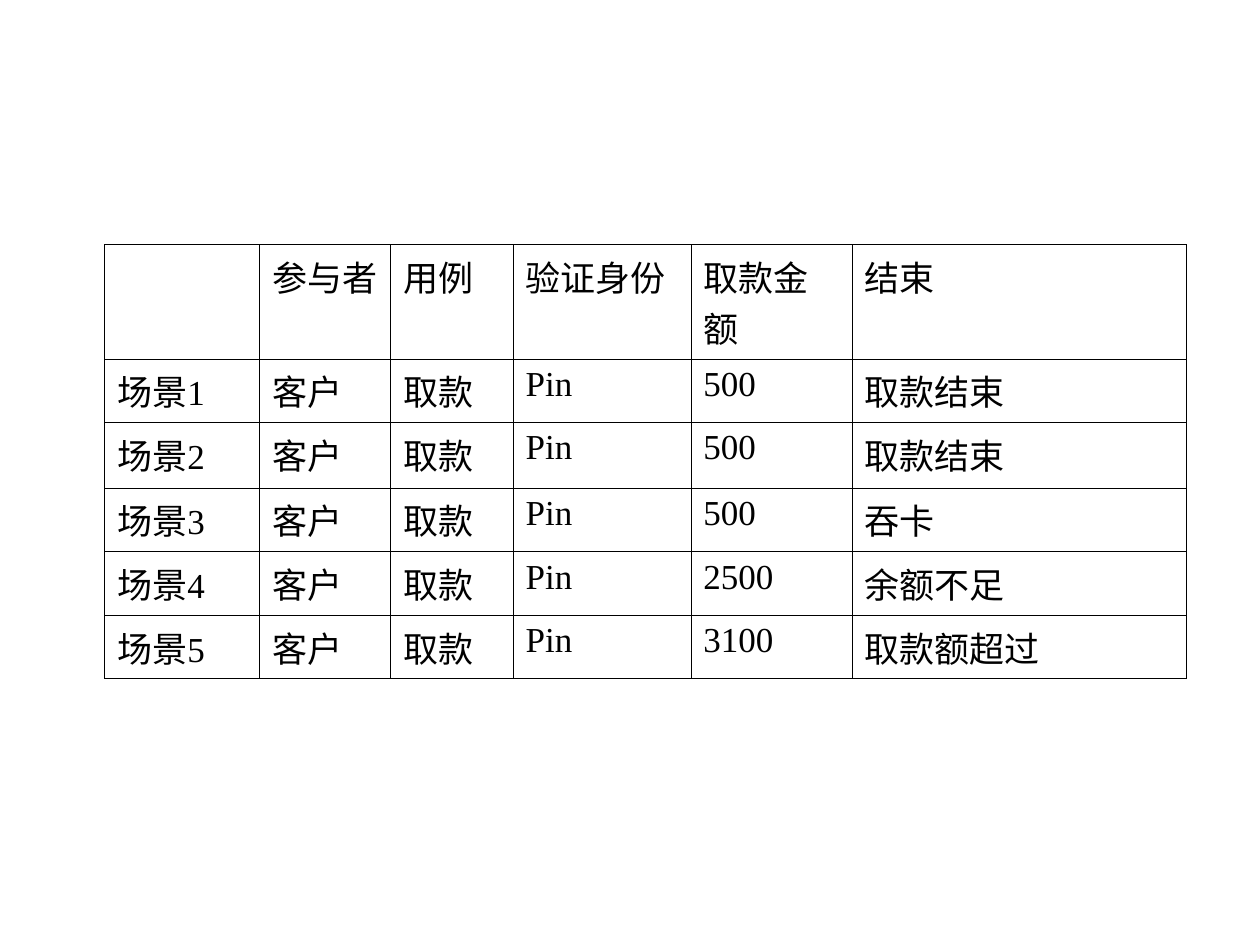
from lxml import etree
from pptx import Presentation
from pptx import util as u
from pptx.dml.color import RGBColor
from pptx.enum import lang
from pptx.oxml import ns

BLACK = RGBColor(0x00, 0x00, 0x00)

COLUMN_WIDTHS = [88.5, 75, 70, 101.5, 92, 191]
ROW_HEIGHTS = [55.5, 33, 37.5, 36.5, 32.5, 32]
HEADER = ["", "参与者", "用例", "验证身份", "取款金额", "结束"]
OUTCOMES = [
    ("500", "取款结束"),
    ("500", "取款结束"),
    ("500", "吞卡"),
    ("2500", "余额不足"),
    ("3100", "取款额超过"),
]


class SlideBuilder:
    font_name = "Times New Roman"
    font_size = 20
    space_before = 5
    border_width = 0.25
    color = BLACK

    def __init__(self, slide):
        self.slide = slide

    def table(self, left, top, widths, heights, rows):
        frame = self.slide.shapes.add_table(
            len(heights), len(widths),
            u.Pt(left), u.Pt(top), u.Pt(sum(widths)), u.Pt(sum(heights)))
        table = frame.table
        table.first_row = table.horz_banding = False
        for column, width in zip(table.columns, widths):
            column.width = u.Pt(width)
        for row, height, texts in zip(table.rows, heights, rows):
            row.height = u.Pt(height)
            for cell, content in zip(row.cells, texts):
                self.cell(cell, content)

    def cell(self, cell, content):
        cell.margin_left = cell.margin_right = u.Pt(7.2)
        cell.margin_top = cell.margin_bottom = u.Pt(3.6)
        self.borders(cell)
        cell.fill.background()
        cell.text_frame.text = content
        para = cell.text_frame.paragraphs[0]
        para.space_before = u.Pt(self.space_before)
        for span in para.runs:
            span.font.name = self.font_name
            span.font.size = u.Pt(self.font_size)
            span.font.color.rgb = self.color
            span.font.language_id = lang.MSO_LANGUAGE_ID.SIMPLIFIED_CHINESE

    def borders(self, cell):
        properties = cell._tc.get_or_add_tcPr()
        for side in ("a:lnL", "a:lnR", "a:lnT", "a:lnB"):
            line = etree.SubElement(properties, ns.qn(side),
                                    w=str(u.Pt(self.border_width)))
            fill = etree.SubElement(line, ns.qn("a:solidFill"))
            etree.SubElement(fill, ns.qn("a:srgbClr"), val=str(self.color))


def main():
    deck = Presentation()
    deck.slide_width, deck.slide_height = u.Pt(720), u.Pt(540)
    page = SlideBuilder(deck.slides.add_slide(deck.slide_layouts[6]))
    scenarios = [
        [f"场景{number}", "客户", "取款", "Pin", amount, ending]
        for number, (amount, ending) in enumerate(OUTCOMES, start=1)
    ]
    page.table(59.75, 139.75, COLUMN_WIDTHS, ROW_HEIGHTS, [HEADER] + scenarios)
    deck.save("out.pptx")


if __name__ == "__main__":
    main()
